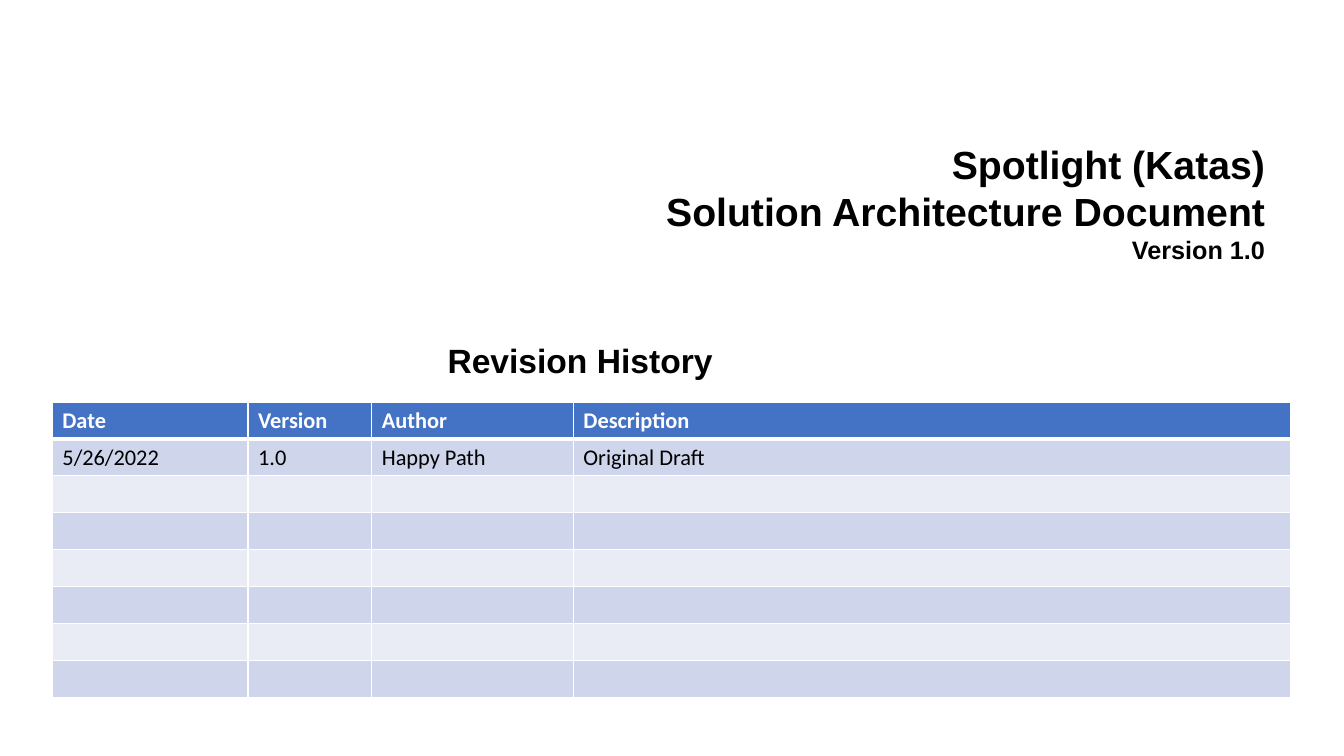
from lxml import etree
from pptx import Presentation
from pptx import util as u
from pptx.dml.color import RGBColor
from pptx.enum import text
from pptx.oxml import ns

BLACK, WHITE = "000000", "FFFFFF"
HEADER, BAND_DARK, BAND_LIGHT = "4472C4", "CFD5EA", "E9EBF5"

COLUMN_WIDTHS = [4.93, 3.12, 5.08, 18.08]
ROW_COUNT, ROW_HEIGHT = 8, 0.93
REVISIONS = [
    ["Date", "Version", "Author", "Description"],
    ["5/26/2022", "1.0", "Happy Path", "Original Draft"],
]


def color(value):
    return RGBColor.from_string(value)


def format_span(span, size, font, shade, bold):
    span.font.size = u.Pt(size)
    span.font.name = font
    span.font.color.rgb = color(shade)
    span.font.bold = bold


def add_heading(page, left, top, width, height, lines):
    """Add right-aligned bold text; each line is (text, sizes of its runs)."""
    box = page.shapes.add_textbox(u.Cm(left), u.Cm(top), u.Cm(width), u.Cm(height))
    frame = box.text_frame
    frame.word_wrap = False
    frame.auto_size = text.MSO_AUTO_SIZE.SHAPE_TO_FIT_TEXT
    frame.vertical_anchor = text.MSO_ANCHOR.MIDDLE
    frame.text = "\n".join(words for words, sizes in lines)
    for para, (words, sizes) in zip(frame.paragraphs, lines):
        para.alignment = text.PP_ALIGN.RIGHT
        for span, size in zip(para.runs, sizes):
            format_span(span, size, "Arial", BLACK, True)


def add_border(cell, side, width):
    properties = cell._tc.get_or_add_tcPr()
    line = etree.SubElement(properties, ns.qn(f"a:ln{side}"), w=str(u.Pt(width)))
    fill = etree.SubElement(line, ns.qn("a:solidFill"))
    etree.SubElement(fill, ns.qn("a:srgbClr"), val=WHITE)


def style_cell(cell, row):
    # Borders come before the fill in the cell properties
    thick_top, thick_bottom = row == 1, row == 0
    for side, thick in (("L", False), ("R", False), ("T", thick_top), ("B", thick_bottom)):
        add_border(cell, side, 3 if thick else 1)
    cell.fill.solid()
    band = BAND_DARK if row % 2 else BAND_LIGHT
    cell.fill.fore_color.rgb = color(HEADER if row == 0 else band)
    cell.margin_top = cell.margin_bottom = 0
    cell.vertical_anchor = text.MSO_ANCHOR.MIDDLE


def add_revision_table(page, left, top):
    frame = page.shapes.add_table(
        ROW_COUNT, len(COLUMN_WIDTHS), u.Cm(left), u.Cm(top),
        u.Cm(sum(COLUMN_WIDTHS)), u.Cm(ROW_COUNT * ROW_HEIGHT))
    table = frame.table
    for column, width in zip(table.columns, COLUMN_WIDTHS):
        column.width = u.Cm(width)
    for index, row in enumerate(table.rows):
        row.height = u.Cm(ROW_HEIGHT)
        for cell in row.cells:
            style_cell(cell, index)
    for index, values in enumerate(REVISIONS):
        is_header = index == 0
        for cell, value in zip(table.rows[index].cells, values):
            cell.text_frame.text = value
            span = cell.text_frame.paragraphs[0].runs[0]
            format_span(span, 16, "Calibri", WHITE if is_header else BLACK, is_header)


def main():
    deck = Presentation()
    deck.slide_width, deck.slide_height = u.Cm(33.87), u.Cm(19.05)
    page = deck.slides.add_slide(deck.slide_layouts[6])

    # Document title
    add_heading(page, 16.33, 3.38, 15.8, 3.43, [
        ("Spotlight (Katas)", [28]),
        ("Solution Architecture Document\vVersion 1.0", [28, 18]),
    ])

    # Revision history
    add_heading(page, 10.95, 8.43, 7.26, 1.27, [("Revision History", [24])])
    add_revision_table(page, 1.32, 10.13)

    deck.save("out.pptx")


if __name__ == "__main__":
    main()
